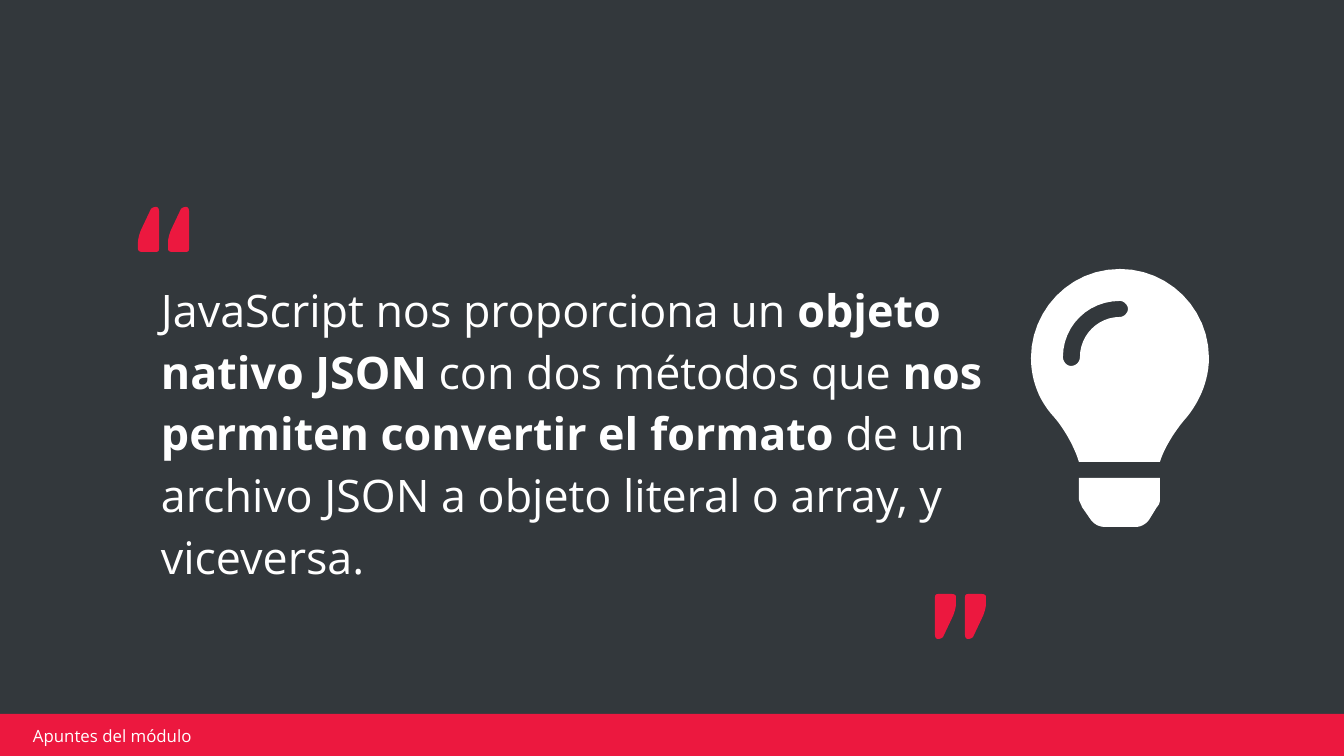
from pptx import Presentation
from pptx.dml.color import RGBColor
from pptx.enum.shapes import MSO_SHAPE
from pptx.enum.text import MSO_ANCHOR
from pptx.util import Pt

COLORS = {"background": "33383C", "accent": "EC183F", "light": "FFFFFF"}
FONT = "Open Sans"
EMU_PER_PX = 914400 / 134.4
CURVE_STEPS = 12

QUOTE = {
    "runs": [
        ("JavaScript nos proporciona un ", False),
        ("objeto nativo JSON", True),
        (" con dos métodos que ", False),
        ("nos permiten convertir el formato", True),
        (" de un archivo JSON a objeto literal o array, y viceversa.", False),
    ],
    "box": (148, 280, 872, 298),
    "insets": (13, 7),
    "size": 24,
    "spacing": 1.15,
}
FOOTER = {
    "runs": [("Apuntes del módulo", False)],
    "box": (26, 726, 321, 20),
    "insets": (7, 3),
    "size": 9,
    "spacing": 1.0,
}
FOOTER_BAR = (-3, 714, 1348, 48)

BULB = [
    [[(1079, 499)], [(1079, 501), (1081, 504), (1082, 507)], [(1091, 520)],
     [(1094, 524), (1099, 527), (1105, 527)], [(1136, 527)],
     [(1141, 527), (1146, 524), (1149, 520)], [(1157, 507)],
     [(1160, 504), (1160, 501), (1160, 499)], [(1160, 478)], [(1079, 478)]],
    [[(1031, 358)], [(1031, 380), (1039, 401), (1054, 417)],
     [(1062, 426), (1074, 445), (1079, 462)], [(1160, 462)],
     [(1165, 445), (1179, 426), (1187, 417)],
     [(1200, 401), (1209, 380), (1209, 358)],
     [(1209, 309), (1169, 269), (1120, 269)],
     [(1069, 269), (1031, 311), (1031, 358)]],
    [[(1120, 317)], [(1098, 317), (1080, 335), (1080, 357)],
     [(1080, 362), (1076, 366), (1071, 366)],
     [(1067, 366), (1063, 362), (1063, 357)],
     [(1063, 326), (1088, 301), (1120, 301)],
     [(1124, 301), (1128, 305), (1128, 309)],
     [(1128, 313), (1124, 317), (1120, 317)]],
]
QUOTE_MARK = [
    [[(18, 0)], [(16, 0), (14, 1), (13, 2)], [(4, 21)],
     [(2, 25), (0, 31), (0, 36)], [(0, 42)],
     [(0, 44), (2, 45), (4, 45)], [(18, 45)],
     [(20, 45), (21, 44), (21, 42)], [(21, 4)],
     [(21, 2), (20, 0), (18, 0)]],
]
MARK_GAP = 30
MARK_PAIRS = [(138, 207, 0), (935, 594, 180)]


def px(length):
    return round(length * EMU_PER_PX)


def flatten(contour):
    points = list(contour[0])
    for segment in contour[1:]:
        if len(segment) == 1:
            points += segment
            continue
        corners = [points[-1], *segment]
        for step in range(1, CURVE_STEPS + 1):
            t = step / CURVE_STEPS
            weights = ((1 - t) ** 3, 3 * t * (1 - t) ** 2, 3 * t ** 2 * (1 - t), t ** 3)
            points.append(tuple(sum(w * corner[axis] for w, corner in zip(weights, corners))
                                for axis in (0, 1)))
    return [(px(x), px(y)) for x, y in points]


def paint(shape, color):
    shape.shadow.inherit = False
    shape.fill.solid()
    shape.fill.fore_color.rgb = RGBColor.from_string(COLORS[color])
    shape.line.fill.background()


def add_outline(shapes, contours, color, left=0, top=0):
    outlines = [flatten(contour) for contour in contours]
    builder = shapes.build_freeform(*outlines[0][0], scale=1.0)
    for index, outline in enumerate(outlines):
        if index:
            builder.move_to(*outline[0])
        builder.add_line_segments(outline[1:], close=True)
    outline_shape = builder.convert_to_shape(px(left), px(top))
    paint(outline_shape, color)
    return outline_shape


def add_text(shapes, content):
    frame = shapes.add_textbox(*map(px, content["box"])).text_frame
    side, end = map(px, content["insets"])
    frame_format = {
        "word_wrap": True, "vertical_anchor": MSO_ANCHOR.MIDDLE,
        "margin_left": side, "margin_right": side,
        "margin_top": end, "margin_bottom": end,
    }
    for name, value in frame_format.items():
        setattr(frame, name, value)
    paragraph = frame.paragraphs[0]
    paragraph.line_spacing = content["spacing"]
    for text, bold in content["runs"]:
        run = paragraph.add_run()
        run.text = text
        for name, value in {"name": FONT, "size": Pt(content["size"]), "bold": bold}.items():
            setattr(run.font, name, value)
        run.font.color.rgb = RGBColor.from_string(COLORS["light"])


def main():
    deck = Presentation()
    deck.slide_width, deck.slide_height = px(1344), px(756)
    slide = deck.slides.add_slide(deck.slide_layouts[6])
    slide.background.fill.solid()
    slide.background.fill.fore_color.rgb = RGBColor.from_string(COLORS["background"])

    add_text(slide.shapes, QUOTE)
    add_outline(slide.shapes, BULB, "light")
    for left, top, rotation in MARK_PAIRS:
        pair = slide.shapes.add_group_shape()
        for index in range(2):
            mark = add_outline(pair.shapes, QUOTE_MARK, "accent", left + index * MARK_GAP, top)
            mark.rotation = rotation
    bar = slide.shapes.add_shape(MSO_SHAPE.RECTANGLE, *map(px, FOOTER_BAR))
    paint(bar, "accent")
    add_text(slide.shapes, FOOTER)
    deck.save("out.pptx")


if __name__ == "__main__":
    main()
